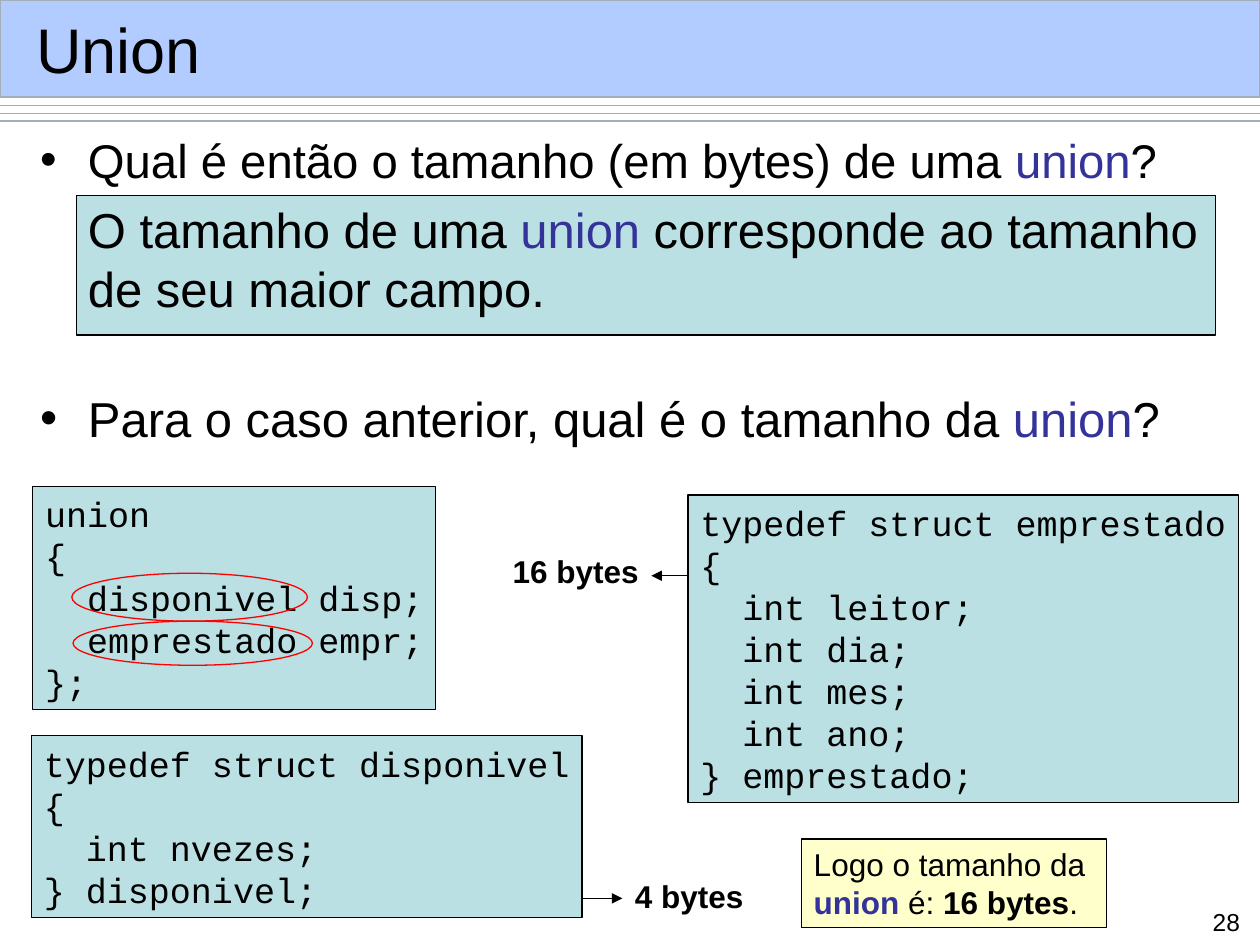
"""Build the slide about the size of a union in C."""

from lxml.etree import SubElement
from pptx import Presentation
from pptx.dml.color import RGBColor
from pptx.enum.shapes import MSO_CONNECTOR, MSO_SHAPE
from pptx.enum.text import MSO_ANCHOR, PP_ALIGN
from pptx.oxml.ns import qn
from pptx.util import Inches, Pt

COLORS = {
    "black": "000000",
    "keyword": "333399",
    "band": "B2CCFF",
    "rule": "A3AEB7",
    "box": "BBE0E3",
    "note": "FFFFCC",
    "mark": "FF0000",
}

UNION_CODE = """union
{
  disponivel disp;
  emprestado empr;
};"""

EMPRESTADO_CODE = """typedef struct emprestado
{
  int leitor;
  int dia;
  int mes;
  int ano;
} emprestado;"""

DISPONIVEL_CODE = """typedef struct disponivel
{
  int nvezes;
} disponivel;"""


def color(name):
    """Return the named colour."""
    return RGBColor.from_string(COLORS[name])


def add_box(slide, left, top, width, height, fill=None, line="black", kind=MSO_SHAPE.RECTANGLE):
    """Add an outlined shape, filled or hollow."""
    shape = slide.shapes.add_shape(
        kind, Inches(left), Inches(top), Inches(width), Inches(height)
    )
    shape.shadow.inherit = False
    if fill:
        shape.fill.solid()
        shape.fill.fore_color.rgb = color(fill)
    else:
        shape.fill.background()
    shape.line.color.rgb = color(line)
    shape.line.width = Pt(0.75)
    return shape


def add_line(slide, start, end, line="black", arrow=False):
    """Add a straight line, with an arrowhead at its end if asked."""
    connector = slide.shapes.add_connector(
        MSO_CONNECTOR.STRAIGHT, *(Inches(value) for value in (*start, *end))
    )
    connector.line.color.rgb = color(line)
    connector.line.width = Pt(0.75)
    if arrow:
        SubElement(connector.line._get_or_add_ln(), qn("a:tailEnd"), type="triangle")
    SubElement(connector._element.spPr, qn("a:effectLst"))


def write_paragraph(paragraph, runs, size, font="Arial", bold=None, align=PP_ALIGN.LEFT):
    """Write (text, colour, bold) runs with lines 1.2 times the text size."""
    paragraph.alignment = align
    paragraph.line_spacing = Pt(1.2 * size)
    paragraph.font.name = font
    paragraph.font.size = Pt(size)
    paragraph.font.bold = bold
    for text, name, strong in runs:
        run = paragraph.add_run()
        run.text = text
        run.font.color.rgb = color(name)
        if strong:
            run.font.bold = True


def plain(text):
    """Return one black run."""
    return text, "black", False


def keyword(strong=False):
    """Return the highlighted word union as a run."""
    return "union", "keyword", strong


def write_lines(shape, lines, size, font="Arial", bold=None):
    """Fill a shape with unwrapped lines, each a list of runs."""
    frame = shape.text_frame
    frame.word_wrap = False
    frame.vertical_anchor = MSO_ANCHOR.TOP
    for index, runs in enumerate(lines):
        paragraph = frame.add_paragraph() if index else frame.paragraphs[0]
        write_paragraph(paragraph, runs, size, font, bold)


def add_code(slide, left, top, width, height, code):
    """Add a box of source code."""
    shape = add_box(slide, left, top, width, height, "box")
    write_lines(shape, [[plain(line)] for line in code.splitlines()], 20, "Courier New")


def add_text_box(slide, left, top, width, height):
    """Add an empty wrapping text box."""
    shape = slide.shapes.add_textbox(
        Inches(left), Inches(top), Inches(width), Inches(height)
    )
    shape.text_frame.word_wrap = True
    return shape


def add_label(slide, left, top, width, text):
    """Add a bold size label."""
    shape = add_text_box(slide, left, top, width, 0.4)
    write_lines(shape, [[plain(text)]], 18, bold=True)


def indent(paragraph, bullet):
    """Indent a paragraph, hanging it after a bullet if asked."""
    margin = Inches(0.38)
    properties = paragraph._p.get_or_add_pPr()
    properties.set("marL", str(margin))
    properties.set("indent", str(-margin if bullet else 0))
    if bullet:
        font = SubElement(properties, qn("a:buFont"))
        font.set("typeface", "Arial")
        SubElement(properties, qn("a:buChar"), char="•")


def add_body(slide):
    """Add the questions and the answer."""
    frame = add_text_box(slide, 0.22, 0.99, 9.53, 6.24).text_frame
    items = [
        (27, 0, True, "Qual é então o tamanho (em bytes) de uma ", "?"),
        (28, 7, False, "O tamanho de uma ", " corresponde ao tamanho de seu maior campo."),
        (28, 40.4, True, "Para o caso anterior, qual é o tamanho da ", "?"),
    ]
    for index, (size, space, bullet, before, after) in enumerate(items):
        paragraph = frame.add_paragraph() if index else frame.paragraphs[0]
        indent(paragraph, bullet)
        paragraph.space_before = Pt(space)
        write_paragraph(paragraph, [plain(before), keyword(), plain(after)], size)


def add_header(slide):
    """Add the title band and the rules below it."""
    for top in (0.84, 0.9, 0.96):
        add_line(slide, (0, top), (10, top), "rule")
    add_box(slide, 0, 0, 10, 0.77, "band", "rule")
    frame = add_text_box(slide, 0.19, 0.09, 9.64, 0.59).text_frame
    frame.vertical_anchor = MSO_ANCHOR.MIDDLE
    write_paragraph(frame.paragraphs[0], [plain("Union")], 36)


def main():
    """Build and save the slide."""
    presentation = Presentation()
    presentation.slide_width = Inches(10)
    presentation.slide_height = Inches(7.5)
    slide = presentation.slides.add_slide(presentation.slide_layouts[6])

    add_header(slide)
    add_box(slide, 0.61, 1.55, 9.04, 1.11, "box")
    add_code(slide, 0.26, 3.86, 3.2, 1.77, UNION_CODE)
    note = add_box(slide, 6.36, 6.66, 2.42, 0.7, "note")
    conclusion = [keyword(True), plain(" é: "), ("16 bytes", "black", True), plain(".")]
    write_lines(note, [[plain("Logo o tamanho da")], conclusion], 18)
    add_body(slide)

    add_box(slide, 0.58, 4.93, 1.9, 0.35, line="mark", kind=MSO_SHAPE.OVAL)
    add_label(slide, 3.97, 4.33, 1.2, "16 bytes")
    add_line(slide, (5.48, 4.57), (5.17, 4.57), arrow=True)
    add_code(slide, 5.46, 3.93, 4.37, 2.44, EMPRESTADO_CODE)

    add_box(slide, 0.57, 4.55, 1.87, 0.38, line="mark", kind=MSO_SHAPE.OVAL)
    add_label(slide, 4.94, 6.91, 1.06, "4 bytes")
    add_line(slide, (4.61, 7.13), (4.94, 7.13), arrow=True)
    add_code(slide, 0.25, 5.84, 4.37, 1.44, DISPONIVEL_CODE)

    number = add_text_box(slide, 9.41, 7.15, 0.53, 0.26).text_frame.paragraphs[0]
    write_paragraph(number, [plain("28")], 14, align=PP_ALIGN.RIGHT)
    presentation.save("out.pptx")


if __name__ == "__main__":
    main()
